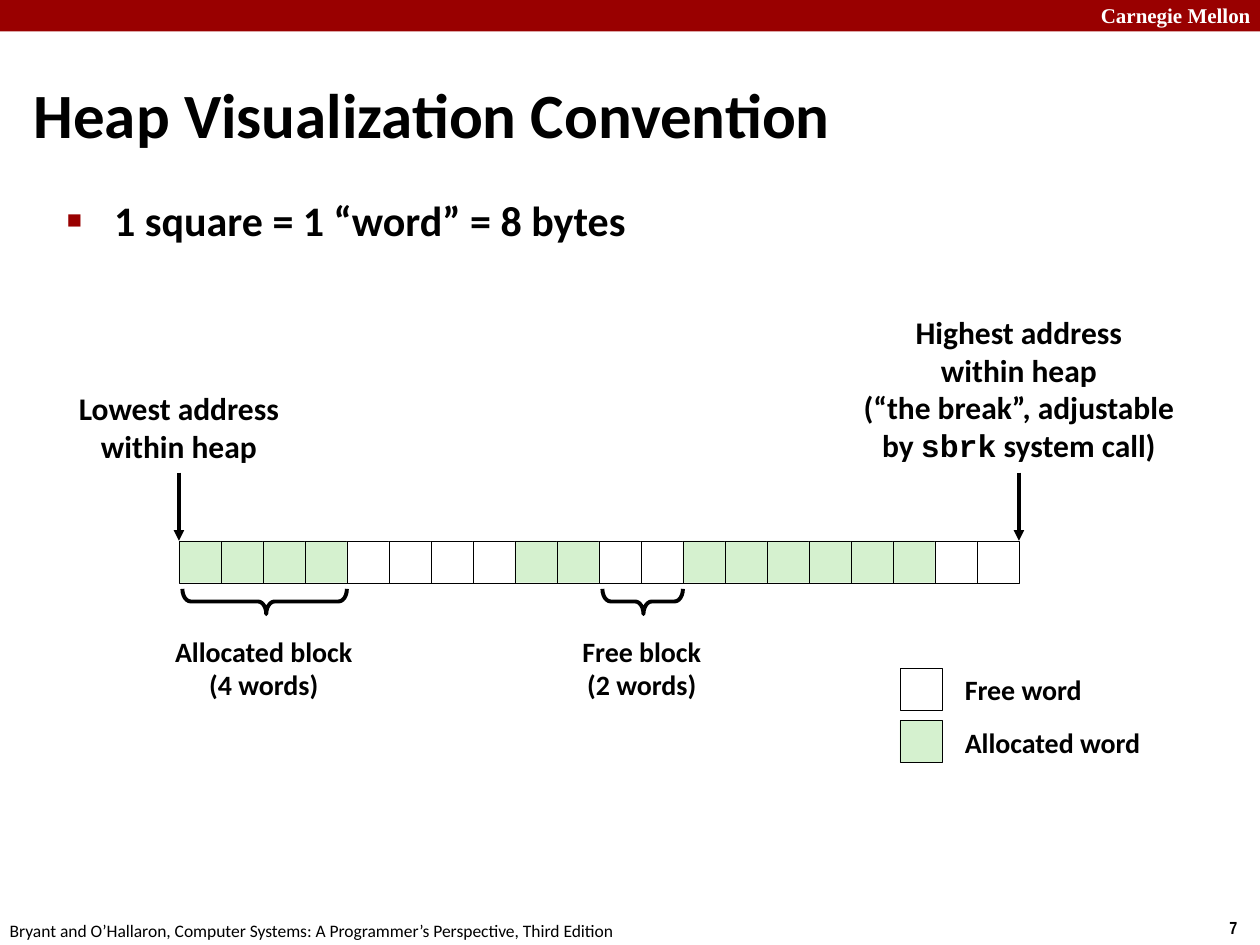
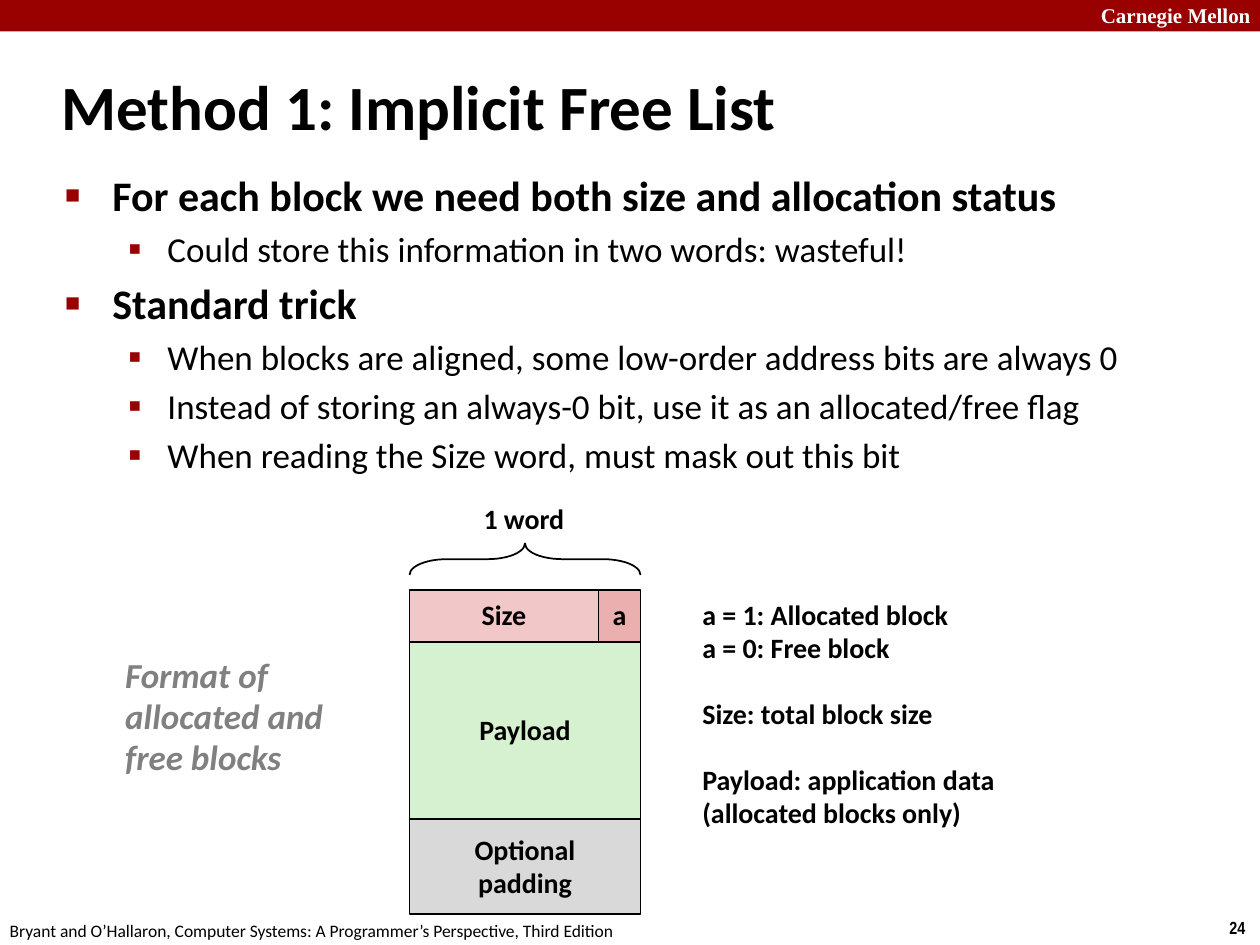
from lxml import etree
from pptx import Presentation
from pptx.dml.color import RGBColor
from pptx.enum.shapes import MSO_CONNECTOR, MSO_SHAPE
from pptx.enum.text import MSO_ANCHOR, MSO_AUTO_SIZE, PP_ALIGN
from pptx.oxml.ns import qn
from pptx.util import Pt

RECT, LEFT_BRACE, RIGHT_BRACE = MSO_SHAPE.RECTANGLE, MSO_SHAPE.LEFT_BRACE, MSO_SHAPE.RIGHT_BRACE
LEFT, CENTER = PP_ALIGN.LEFT, PP_ALIGN.CENTER
TOP, MIDDLE = MSO_ANCHOR.TOP, MSO_ANCHOR.MIDDLE
GROW, FIXED = MSO_AUTO_SIZE.SHAPE_TO_FIT_TEXT, MSO_AUTO_SIZE.NONE

# Shared style
RED, BLACK, WHITE, GRAY = "990000", "000000", "FFFFFF", "808080"
GREEN, PINK, ROSE, SILVER = "D5F1CF", "F1C7C7", "EBAFAF", "D9D9D9"
SANS, CODE = "Calibri", "Courier New"
TITLE = dict(name=SANS, size=Pt(36), bold=True)
LABEL = dict(name=SANS, size=Pt(16), bold=True)
ADDRESS = dict(name=SANS, size=Pt(18), bold=True)
CAPTION = dict(name=SANS, size=Pt(20), bold=True, italic=True)
HEADER = dict(name="Times New Roman", size=Pt(12), bold=True)
FOOTER = dict(name=SANS, size=Pt(10))
NUMBER = dict(name="Arial Narrow", size=Pt(10), bold=True)
LEVELS = [
    dict(font=dict(name=SANS, size=Pt(24), bold=True), indent=27, hang=27,
         before=4.8, bullet="■", bullet_size=60),
    dict(font=dict(name=SANS, size=Pt(20), bold=False), indent=58.5, hang=22.5,
         before=4, bullet="▪", bullet_size=110),
]
SCHOOL = "Carnegie Mellon"
BOOK = "Bryant and O’Hallaron, Computer Systems: A Programmer’s Perspective, Third Edition"
LINE_GAP = 0.98

# Content: heap slide
HEAP_TITLE = "Heap Visualization Convention"
HEAP_BULLETS = [(0, "1 square = 1 “word” = 8 bytes")]
HEAP_BLOCKS = [(4, True), (4, False), (2, True), (2, False), (6, True), (2, False)]
BLOCK_NOTES = {0: ["Allocated block", "(4 words)"], 3: ["Free block", "(2 words)"]}
LEGEND = [("Free word", False), ("Allocated word", True)]
LOWEST = ["Lowest address within heap"]
HIGHEST = [
    "Highest address",
    "within heap",
    [("(“the break”, adjustable by ", SANS), ("sbrk", CODE), (" system call)", SANS)],
]

# Content: implicit list slide
LIST_TITLE = "Method 1: Implicit Free List"
LIST_BULLETS = [
    (0, "For each block we need both size and allocation status"),
    (1, "Could store this information in two words: wasteful!"),
    (0, "Standard trick"),
    (1, "When blocks are aligned, some low-order address bits are always 0"),
    (1, "Instead of storing an always-0 bit, use it as an allocated/free flag"),
    (1, "When reading the Size word, must mask out this bit"),
]
# Rows from top to bottom: height, then cells of (lines, width, fill)
BLOCK_ROWS = [
    (30, [(["Size"], 108, PINK), (["a"], 24, ROSE)]),
    (101.25, [(["Payload"], 132, GREEN)]),
    (54, [(["Optional", "padding"], 132, SILVER)]),
]
FORMAT_CAPTION = ["Format of", "allocated and", "free blocks"]
FIELD_NOTES = [
    ["a = 1: Allocated block", "a = 0: Free block"],
    ["Size: total block size"],
    ["Payload: application data", "(allocated blocks only)"],
]


def rgb(color):
    return RGBColor.from_string(color)


def points(*values):
    return [Pt(v) for v in values]


def add_run(p, text, font, color=BLACK):
    r = p.add_run()
    r.text = text
    for key, value in font.items():
        setattr(r.font, key, value)
    r.font.color.rgb = rgb(color)


def next_paragraph(tf, i):
    return tf.add_paragraph() if i else tf.paragraphs[0]


def write(tf, lines, font, color=BLACK, align=LEFT, gap=None, before=()):
    """Write lines; a line is text or a list of (text, font name) runs."""
    for i, line in enumerate(lines):
        p = next_paragraph(tf, i)
        p.alignment = align
        if gap:
            p.line_spacing = gap
        if i in before:
            p.space_before = Pt(19)
        runs = [(line, font["name"])] if isinstance(line, str) else line
        for text, name in runs:
            add_run(p, text, {**font, "name": name}, color)


def add_text(s, box, lines, font, wrap=False, **style):
    tf = s.shapes.add_textbox(*points(*box)).text_frame
    tf.word_wrap, tf.auto_size = wrap, GROW
    write(tf, lines, font, **style)


def add_box(s, box, fill, line=None, kind=RECT):
    sp = s.shapes.add_shape(kind, *points(*box))
    sp.shadow.inherit = False
    if fill:
        sp.fill.solid()
        sp.fill.fore_color.rgb = rgb(fill)
    else:
        sp.fill.background()
    if line:
        sp.line.color.rgb = rgb(BLACK)
        sp.line.width = Pt(line)
    else:
        sp.line.fill.background()
    return sp


def add_brace(s, box, kind, line, adjust):
    """Lay a brace flat over the given box by turning it a quarter."""
    x, y, w, h = box
    upright = (x + (w - h) / 2, y + (h - w) / 2, h, w)
    sp = add_box(s, upright, None, line, kind)
    sp.rotation = 270
    for i, value in enumerate(adjust):
        sp.adjustments[i] = value


def add_down_arrow(s, x, top, bottom):
    line = s.shapes.add_connector(MSO_CONNECTOR.STRAIGHT, *points(x, top, x, bottom))
    line.line.color.rgb = rgb(BLACK)
    line.line.width = Pt(2)
    props = line.line.fill and line._element.spPr
    etree.SubElement(props.find(qn("a:ln")), qn("a:tailEnd"), type="triangle")
    etree.SubElement(props, qn("a:effectLst"))


def add_bullet(p, level):
    pPr = p._p.get_or_add_pPr()
    pPr.set("marL", str(Pt(level["indent"])))
    pPr.set("indent", str(-Pt(level["hang"])))
    color = etree.SubElement(pPr, qn("a:buClr"))
    etree.SubElement(color, qn("a:srgbClr"), val=RED)
    etree.SubElement(pPr, qn("a:buSzPct"), val=str(level["bullet_size"] * 1000))
    etree.SubElement(pPr, qn("a:buChar"), char=level["bullet"])


def fill_placeholder(sp, box, anchor):
    sp.left, sp.top, sp.width, sp.height = points(*box)
    tf = sp.text_frame
    tf.word_wrap, tf.auto_size, tf.vertical_anchor = True, FIXED, anchor
    return tf


def new_slide(prs, number, title, title_box, bullets, body_box):
    s = prs.slides.add_slide(prs.slide_layouts[1])
    # Band, header and footer
    add_box(s, (0, 0, 720, 18), RED)
    add_text(s, (622, -2, 103, 22), [SCHOOL], HEADER, wrap=True, color=WHITE)
    add_text(s, (695.5, 520.5, 24.5, 19.5), [number], NUMBER)
    add_text(s, (-1.5, 522, 366, 19.5), [BOOK], FOOTER)
    # Title and list
    write(fill_placeholder(s.shapes.title, title_box, MIDDLE), [title], TITLE)
    tf = fill_placeholder(s.placeholders[1], body_box, TOP)
    for i, (depth, text) in enumerate(bullets):
        level = LEVELS[depth]
        p = next_paragraph(tf, i)
        p.level = depth
        p.space_before = Pt(level["before"] if i else 0)
        add_bullet(p, level)
        add_run(p, text, level["font"])
    return s


def heap_slide(prs):
    s = new_slide(prs, "7", HEAP_TITLE, (12, 34.5, 708, 60),
                  HEAP_BULLETS, (31, 107.5, 622, 392))
    x0, y0, side = 102.25, 309, 24

    def add_word(x, y, allocated):
        add_box(s, (x, y, side, side), GREEN if allocated else WHITE, 0.25)

    # Row of words with marked blocks
    start = x0
    for i, (count, allocated) in enumerate(HEAP_BLOCKS):
        for k in range(count):
            add_word(start + k * side, y0, allocated)
        width = count * side
        if i in BLOCK_NOTES:
            add_brace(s, (start + 2, 336.5, width - 2, 14.4), LEFT_BRACE, 2.25, (0.33, 0.51))
            add_text(s, (start + width / 2 - 58, 360, 117, 45), BLOCK_NOTES[i],
                     LABEL, align=CENTER, gap=LINE_GAP)
        start += width

    # Legend
    for i, (name, allocated) in enumerate(LEGEND):
        y = 381.75 + i * 30
        add_word(514.25, y, allocated)
        add_text(s, (544.25, y, 116, 26.5), [name], LABEL, gap=LINE_GAP)

    # Ends of the heap
    for x, width, top, lines in ((x0, 132, 219, LOWEST), (start, 197, 175.25, HIGHEST)):
        add_down_arrow(s, x, 270, y0)
        add_text(s, (x - width / 2, top, width, 270 - top), lines, ADDRESS,
                 wrap=True, align=CENTER)


def list_slide(prs):
    s = new_slide(prs, "24", LIST_TITLE, (28, 37.5, 519, 45),
                  LIST_BULLETS, (30, 93.5, 650, 170))
    x0, y = 234, 337

    # Block layout
    add_text(s, (269.25, 284.25, 61, 26.5), ["1 word"], LABEL, gap=LINE_GAP)
    add_brace(s, (x0, 310.5, 132, 18), RIGHT_BRACE, 1, (1.19, 0.5))
    for height, cells in BLOCK_ROWS:
        x = x0
        for lines, width, fill in cells:
            tf = add_box(s, (x, y, width, height), fill, 1).text_frame
            tf.word_wrap, tf.vertical_anchor = False, MIDDLE
            write(tf, lines, LABEL, align=CENTER, gap=LINE_GAP)
            x += width
        y += height

    # Caption and field notes
    add_text(s, (64.5, 371, 128, 78.5), FORMAT_CAPTION, CAPTION, color=GRAY, gap=LINE_GAP)
    notes, group_starts = [], []
    for group in FIELD_NOTES:
        group_starts.append(len(notes))
        notes += group
    add_text(s, (394.25, 339, 184, 160), notes, LABEL, gap=LINE_GAP, before=group_starts[1:])


def main():
    prs = Presentation()
    prs.slide_width, prs.slide_height = points(720, 540)
    heap_slide(prs)
    list_slide(prs)
    prs.save("out.pptx")


if __name__ == "__main__":
    main()
